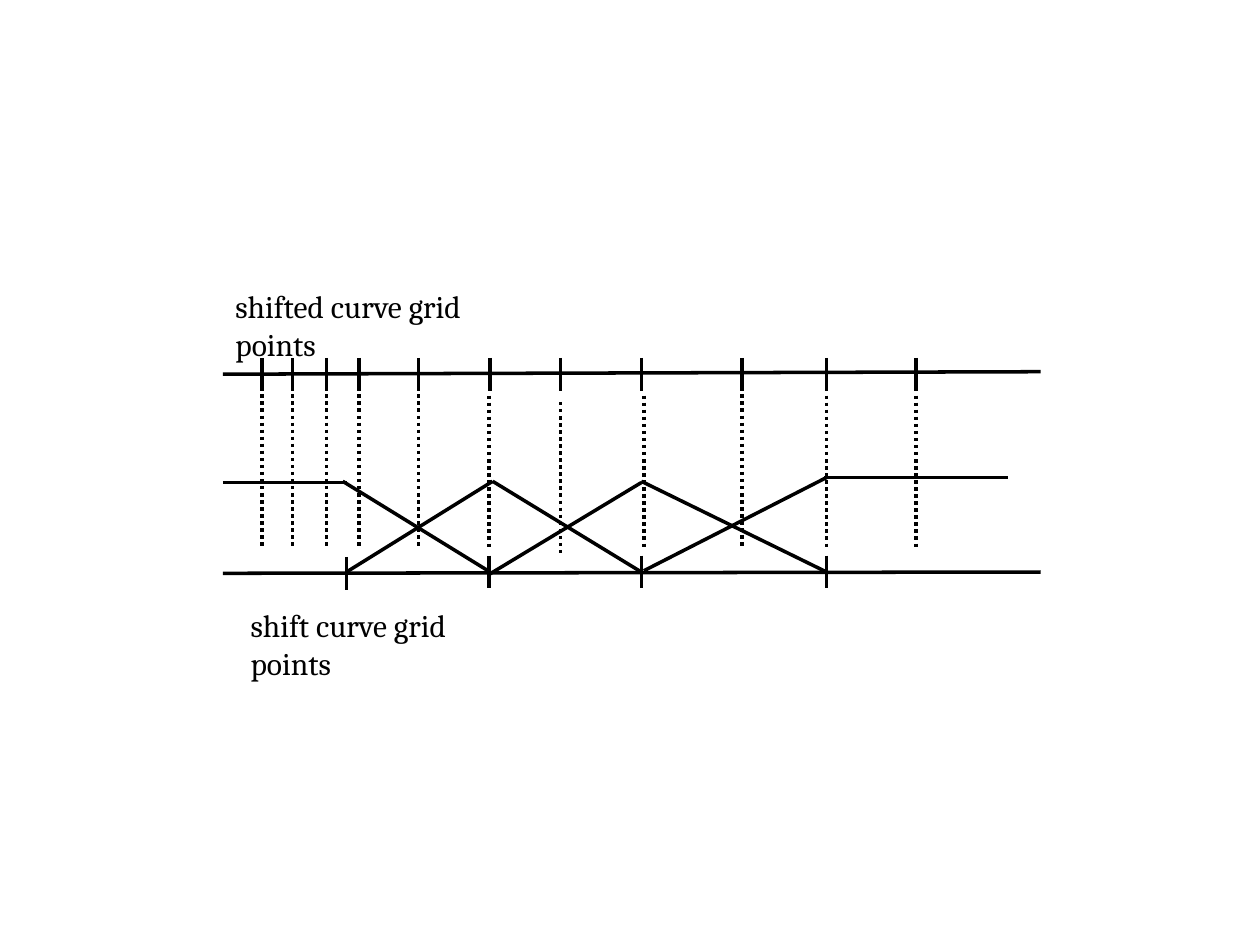
from lxml import etree
from pptx import Presentation
from pptx.dml.color import RGBColor
from pptx.enum.dml import MSO_LINE
from pptx.enum.shapes import MSO_CONNECTOR
from pptx.enum.text import MSO_AUTO_SIZE
from pptx.oxml.ns import qn
from pptx.util import Inches, Pt

BLACK = RGBColor(0, 0, 0)

deck = Presentation()
deck.slide_width, deck.slide_height = Inches(10), Inches(7.5)
page = deck.slides.add_slide(deck.slide_layouts[6])


def draw_line(x1, y1, x2, y2, dash=None):
    """Draw a black 2 pt line between two points given in inches."""
    line = page.shapes.add_connector(
        MSO_CONNECTOR.STRAIGHT, Inches(x1), Inches(y1), Inches(x2), Inches(y2))
    line.line.color.rgb = BLACK
    line.line.width = Pt(2)
    if dash:
        line.line.dash_style = dash
    etree.SubElement(line._element.spPr, qn("a:effectLst"))


def add_label(text, left, top, width):
    """Add a wrapping 18 pt label."""
    box = page.shapes.add_textbox(
        Inches(left), Inches(top), Inches(width), Inches(0.4))
    frame = box.text_frame
    frame.word_wrap = True
    frame.auto_size = MSO_AUTO_SIZE.SHAPE_TO_FIT_TEXT
    para = frame.paragraphs[0]
    para.text = text
    para.font.name = "Cambria"
    para.font.size = Pt(18)
    para.font.color.rgb = BLACK


# Upper and lower axes
axis_left, axis_right = 1.77, 8.26
draw_line(axis_left, 2.97, axis_right, 2.95)
draw_line(axis_left, 4.55, axis_right, 4.54)

# Upper ticks, each with the x and top of its dotted guide
tick_top, tick_bottom, guide_length = 2.84, 3.1, 1.2
shifted_points = [
    (2.08, 2.08, 3.13), (2.32, 2.32, 3.13), (2.59, 2.59, 3.13),
    (2.85, 2.85, 3.13), (3.32, 3.32, 3.13), (3.89, 3.88, 3.14),
    (4.45, 4.45, 3.19), (5.09, 5.11, 3.14), (5.89, 5.89, 3.13),
    (6.56, 6.56, 3.14), (7.27, 7.27, 3.14),
]
for tick_x, guide_x, guide_top in shifted_points:
    draw_line(tick_x, tick_top, tick_x, tick_bottom)
    draw_line(guide_x, guide_top, guide_x, guide_top + guide_length,
              MSO_LINE.ROUND_DOT)

# Lower ticks
for x, top in [(2.75, 4.42), (3.88, 4.41), (5.09, 4.41), (6.56, 4.41)]:
    draw_line(x, top, x, top + 0.26)

# Overlapping weight functions: flat ends, falling and rising flanks
weight_lines = [
    (axis_left, 3.83, 2.75, 3.83), (6.54, 3.79, 8, 3.79),
    (2.72, 3.82, 3.89, 4.54), (3.91, 3.82, 5.09, 4.54), (5.09, 3.82, 6.56, 4.54),
    (2.75, 4.54, 3.91, 3.82), (3.88, 4.56, 5.09, 3.83), (5.11, 4.53, 6.56, 3.79),
]
for ends in weight_lines:
    draw_line(*ends)

add_label("shift curve grid points", 1.89, 4.76, 2.42)
add_label("shifted curve grid points", 1.77, 2.23, 2.66)

deck.save("out.pptx")
